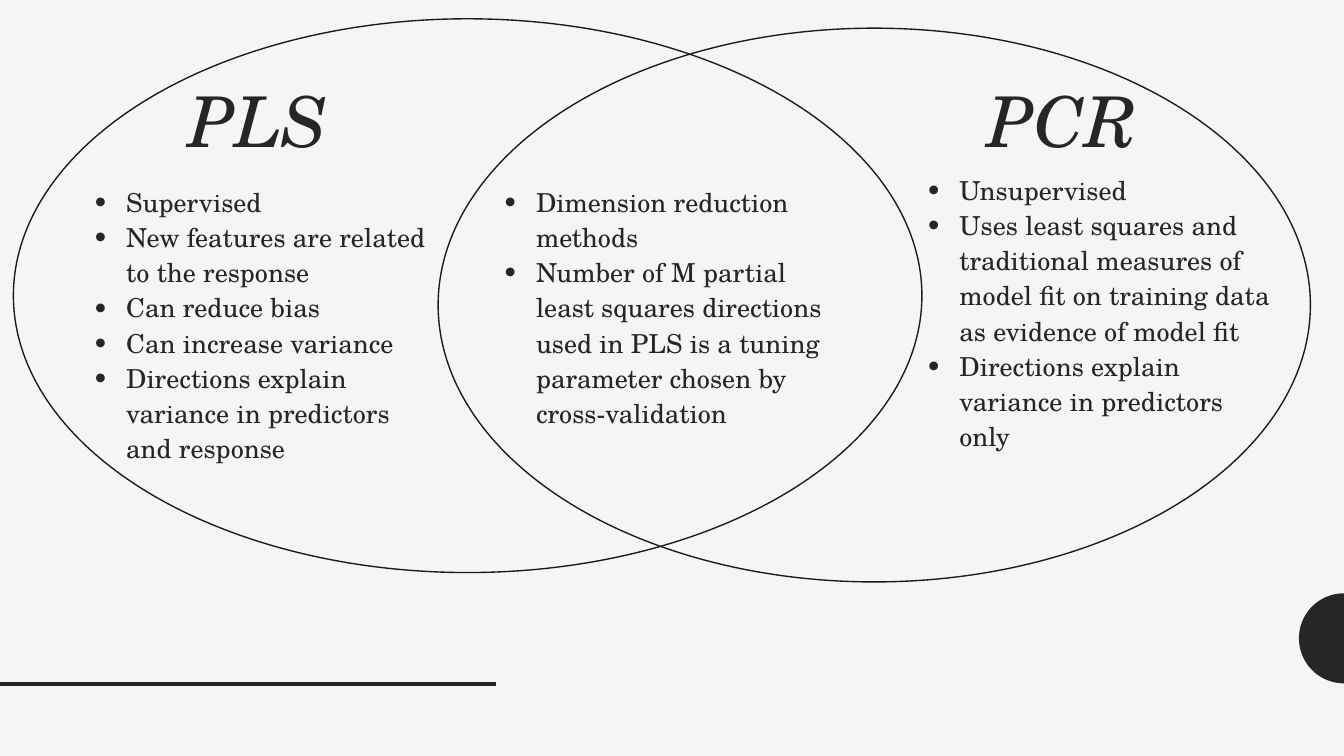
import math

from lxml import etree
from pptx import Presentation
from pptx import util as u
from pptx.dml.color import RGBColor
from pptx.enum import shapes, text
from pptx.oxml import ns

COLORS = {"background": "F5F5F5", "ink": "262626", "outline": "1D1A1D"}

PLS_POINTS = [
    "Supervised",
    "New features are related to the response",
    "Can reduce bias",
    "Can increase variance",
    "Directions explain variance in predictors and response",
]
SHARED_POINTS = [
    "Dimension reduction methods",
    "Number of M partial least squares directions used in PLS is a tuning "
    "parameter chosen by cross-validation",
]
PCR_POINTS = [
    "Unsupervised",
    "Uses least squares and traditional measures of model fit on training data "
    "as evidence of model fit",
    "Directions explain variance in predictors only",
]


class VennSlide:
    font = "TeX Gyre Schola"
    title_size = 37.5
    body_size = 14

    def __init__(self, presentation):
        self.slide = presentation.slides.add_slide(presentation.slide_layouts[6])
        fill = self.slide.background.fill
        fill.solid()
        fill.fore_color.rgb = self.color("background")

    def color(self, name):
        return RGBColor.from_string(COLORS[name])

    def half_disc(self, center_x, center_y, diameter, steps=48):
        radius = diameter / 2
        angles = [math.pi / 2 + math.pi * step / steps for step in range(steps + 1)]
        points = [
            (u.Inches(center_x + radius * math.cos(angle)),
             u.Inches(center_y + radius * math.sin(angle)))
            for angle in angles
        ]
        builder = self.slide.shapes.build_freeform(*points[0])
        builder.add_line_segments(points[1:], close=True)
        shape = builder.convert_to_shape()
        shape.shadow.inherit = False
        shape.fill.solid()
        shape.fill.fore_color.rgb = self.color("ink")
        shape.line.fill.background()

    def rule(self, left, right, y):
        connector = self.slide.shapes.add_connector(
            shapes.MSO_CONNECTOR.STRAIGHT,
            u.Inches(left), u.Inches(y), u.Inches(right), u.Inches(y))
        connector.line.color.rgb = self.color("ink")
        connector.line.width = u.Pt(2)
        etree.SubElement(connector._element.spPr, ns.qn("a:effectLst"))

    def ellipse(self, left, top, width, height):
        shape = self.slide.shapes.add_shape(
            shapes.MSO_SHAPE.OVAL,
            u.Inches(left), u.Inches(top), u.Inches(width), u.Inches(height))
        shape.shadow.inherit = False
        shape.fill.background()
        shape.line.color.rgb = self.color("outline")
        shape.line.width = u.Pt(0.75)

    def text_frame(self, left, top, width, height):
        box = self.slide.shapes.add_textbox(
            u.Inches(left), u.Inches(top), u.Inches(width), u.Inches(height))
        frame = box.text_frame
        frame.word_wrap = True
        frame.vertical_anchor = text.MSO_ANCHOR.TOP
        frame.margin_left = frame.margin_right = u.Inches(0.1)
        frame.margin_top = frame.margin_bottom = u.Inches(0.1)
        return frame

    def run(self, paragraph, words, size, italic=False):
        run = paragraph.add_run()
        run.text = words
        run.font.name = self.font
        run.font.size = u.Pt(size)
        run.font.italic = italic
        run.font.color.rgb = self.color("ink")

    def title(self, words, left, width):
        paragraph = self.text_frame(left, 0.55, width, 0.63).paragraphs[0]
        paragraph.alignment = text.PP_ALIGN.CENTER
        paragraph.line_spacing = 0.9
        self.run(paragraph, words, self.title_size, italic=True)

    def bullets(self, points, left, top, width=3.05):
        frame = self.text_frame(left, top, width, 3.74)
        for index, point in enumerate(points):
            paragraph = frame.add_paragraph() if index else frame.paragraphs[0]
            paragraph.line_spacing = 1.12
            properties = paragraph._p.get_or_add_pPr()
            properties.set("marL", str(u.Inches(0.5)))
            properties.set("indent", str(u.Inches(-0.25)))
            etree.SubElement(properties, ns.qn("a:buFont"), typeface=self.font)
            etree.SubElement(properties, ns.qn("a:buChar"), char="•")
            self.run(paragraph, point, self.body_size)


def main():
    presentation = Presentation()
    presentation.slide_width = u.Inches(10)
    presentation.slide_height = u.Inches(10 * 9 / 16)

    venn = VennSlide(presentation)
    venn.half_disc(10, 4.75, 0.67)
    venn.rule(0, 3.69, 5.09)
    venn.ellipse(0.1, 0.14, 6.76, 4.12)
    venn.ellipse(3.26, 0.21, 6.49, 4.12)
    venn.title("PLS", 0.59, 2.67)
    venn.bullets(PLS_POINTS, 0.34, 1.26)
    venn.bullets(SHARED_POINTS, 3.39, 1.26, width=3.03)
    venn.bullets(PCR_POINTS, 6.54, 1.17)
    venn.title("PCR", 6.55, 2.71)

    presentation.save("out.pptx")


if __name__ == "__main__":
    main()
